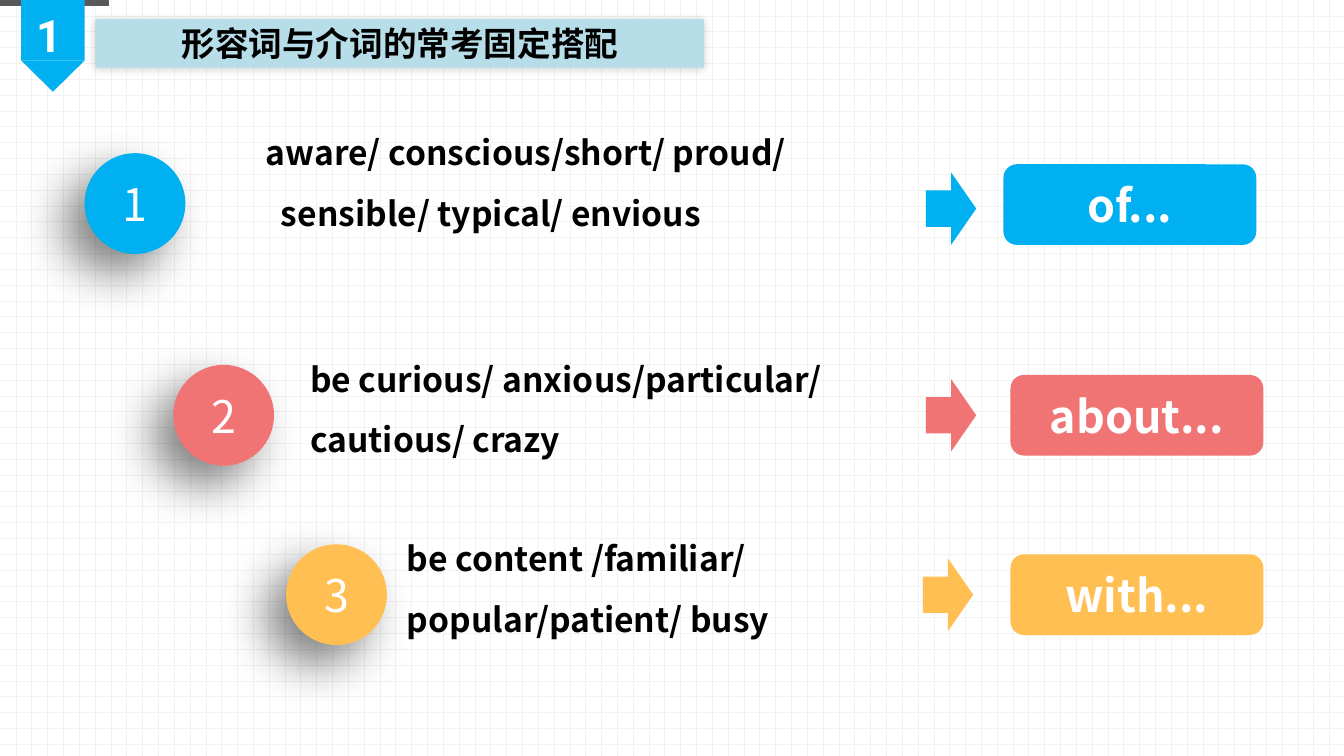
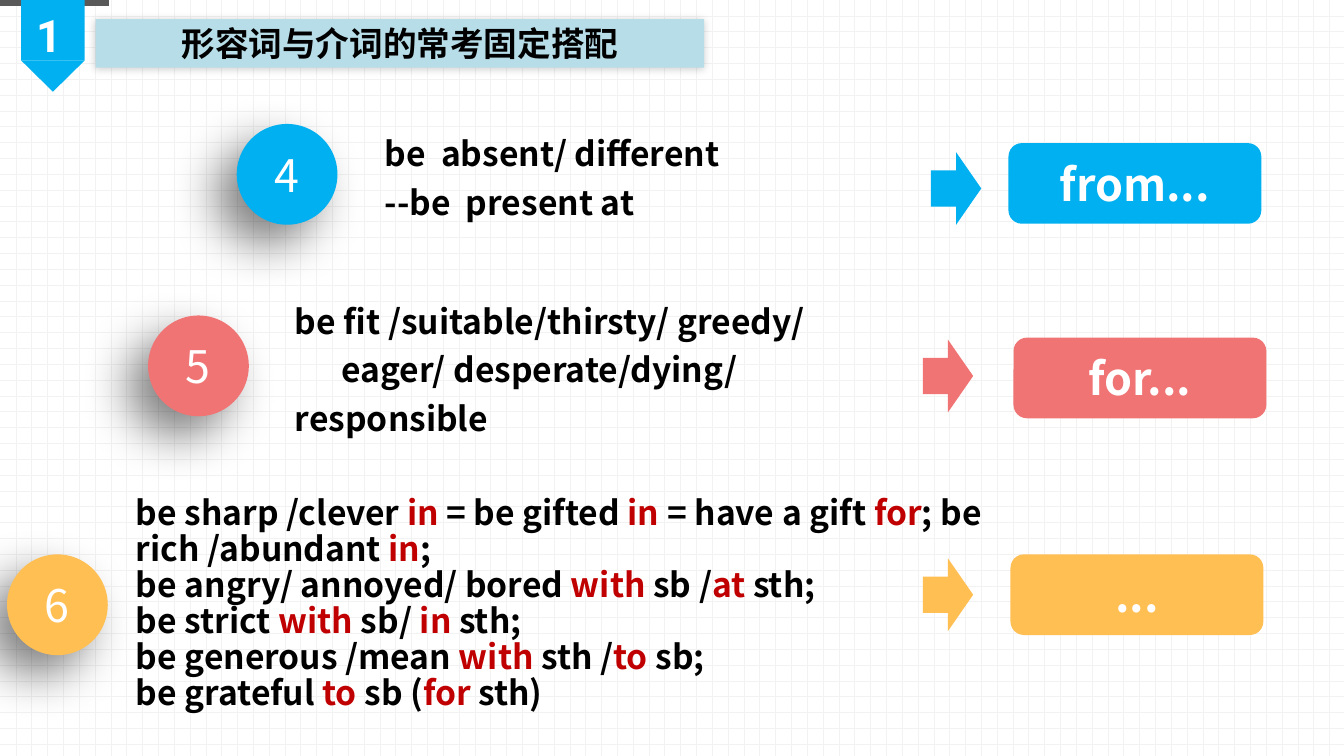
from lxml import etree
from pptx import Presentation
from pptx.dml.color import RGBColor
from pptx.enum.dml import MSO_PATTERN
from pptx.enum.shapes import MSO_SHAPE
from pptx.enum.text import MSO_ANCHOR, PP_ALIGN
from pptx.oxml.ns import qn
from pptx.util import Inches, Pt

# Shared colours and formats
BLUE, CORAL, AMBER = "00B0F0", "F17475", "FFBF53"
BLACK, WHITE, RED = "000000", "FFFFFF", "C00000"
GREY, PALE_BLUE, GRID_GREY = "595959", "B7DEE8", "F2F2F2"

FONT = "Noto Sans CJK SC"
BODY = {"name": FONT, "size": Pt(24), "bold": True}
NUMBER = {"name": FONT, "size": Pt(32), "bold": False}
PREPOSITION = {"name": FONT, "size": Pt(32), "bold": True}
CHAPTER = {"name": "Roboto", "size": Pt(32), "bold": True}

CENTRED = {"alignment": PP_ALIGN.CENTER}
CHAPTER_SPACING = {"line_spacing": 1.3, "space_before": Pt(6)}

TITLE = "形容词与介词的常考固定搭配"
CIRCLE_SIZE = 1.0
ARROW_SIZE = (0.5, 0.72)
BUTTON_SIZE = (2.51, 0.8)

# Each row: colour, number, circle corner, text box, line spacing, lines as
# (first-line indent, text with *red* words), arrow corner, button corner, preposition
PAGES = [
    [
        (BLUE, "1", (0.84, 1.52), (2.54, 1.06, 6.26, 1.3), 1.5,
         [(0, "aware/ conscious/short/ proud/"),
          (0.15, "sensible/ typical/ envious")],
         (9.19, 1.71), (9.96, 1.63), "of..."),
        (CORAL, "2", (1.72, 3.62), (2.98, 3.31, 5.97, 1.3), 1.5,
         [(0, "be curious/ anxious/particular/ cautious/ crazy")],
         (9.19, 3.76), (10.03, 3.72), "about..."),
        (AMBER, "3", (2.84, 5.4), (3.94, 5.09, 5.25, 1.3), 1.5,
         [(0, "be content /familiar/ popular/patient/ busy")],
         (9.16, 5.54), (10.03, 5.5), "with..."),
    ],
    [
        (BLUE, "4", (2.35, 1.23), (3.72, 1.19, 5.28, 1.08), Pt(34.8),
         [(0, "be  absent/ different"),
          (0, "--be  present at")],
         (9.24, 1.51), (10.01, 1.42), "from..."),
        (CORAL, "5", (1.47, 3.13), (2.83, 2.85, 5.97, 1.55), Pt(34.8),
         [(0, "be fit /suitable/thirsty/ greedy/"),
          (0.46, "eager/ desperate/dying/ responsible")],
         (9.16, 3.37), (10.06, 3.35), "for..."),
        (AMBER, "6", (0.07, 5.5), (1.25, 4.87, 8.61, 2.31), Pt(25.8),
         [(0, "be sharp /clever *in* = be gifted *in* = have a gift *for*; "
              "be rich /abundant *in*;"),
          (0, "be angry/ annoyed/ bored *with* sb /*at* sth;"),
          (0, "be strict *with* sb/ *in* sth;"),
          (0, "be generous /mean *with* sth /*to* sb;"),
          (0, "be grateful *to* sb (*for* sth)")],
         (9.16, 5.54), (10.03, 5.5), "..."),
    ],
]


def add_box(page, kind, place, fill, shadow=None):
    """Add a filled shape; shadow is (opacity %, blur pt, distance pt)."""
    box = page.shapes.add_shape(kind, *[Inches(length) for length in place])
    box.fill.solid()
    box.fill.fore_color.rgb = RGBColor.from_string(fill)
    box.line.fill.background()
    box.shadow.inherit = False
    if shadow:
        opacity, blur, distance = shadow
        effects = box.element.spPr.find(qn("a:effectLst"))
        outer = etree.SubElement(effects, qn("a:outerShdw"), blurRad=str(Pt(blur)),
                                 dist=str(Pt(distance)), dir=str(135 * 60000),
                                 algn="ctr", rotWithShape="0")
        tint = etree.SubElement(outer, qn("a:srgbClr"), val=BLACK)
        etree.SubElement(tint, qn("a:alpha"), val=str(opacity * 1000))
    return box


def write(frame, lines, font, color, layout):
    """Fill a text frame; words between asterisks turn red."""
    for index, (indent, text) in enumerate(lines):
        para = frame.add_paragraph() if index else frame.paragraphs[0]
        for name, value in layout.items():
            setattr(para, name, value)
        if indent:
            para._p.get_or_add_pPr().set("indent", str(Inches(indent)))
        for part, words in enumerate(text.split("*")):
            span = para.add_run()
            span.text = words
            for name, value in font.items():
                setattr(span.font, name, value)
            span.font.color.rgb = RGBColor.from_string(RED if part % 2 else color)
            etree.SubElement(span._r.get_or_add_rPr(), qn("a:ea"), typeface=font["name"])


deck = Presentation()
deck.slide_width, deck.slide_height = Inches(13.34), Inches(7.5)

# Grid background for every page
grid = deck.slide_master.background.fill
grid.patterned()
grid.pattern = MSO_PATTERN.DOTTED_GRID
grid.fore_color.rgb = RGBColor.from_string(GRID_GREY)
grid.back_color.rgb = RGBColor.from_string(WHITE)

for rows in PAGES:
    page = deck.slides.add_slide(deck.slide_layouts[6])

    # Chapter ribbon and title band
    add_box(page, MSO_SHAPE.RECTANGLE, (0, 0, 1.08, 0.06), GREY)
    add_box(page, MSO_SHAPE.RECTANGLE, (0.21, 0, 0.63, 0.6), BLUE)
    tip = add_box(page, MSO_SHAPE.ISOSCELES_TRIANGLE, (0.21, 0.6, 0.63, 0.31), BLUE)
    tip.rotation = 180
    band = add_box(page, MSO_SHAPE.RECTANGLE, (0.95, 0.19, 6.04, 0.48), PALE_BLUE, (20, 6, 1))
    band.text_frame.margin_top = band.text_frame.margin_bottom = Inches(0.04)
    write(band.text_frame, [(0, TITLE)], BODY, BLACK, CENTRED)
    chapter = page.shapes.add_textbox(Inches(0.26), Inches(-0.13), Inches(0.52), Inches(0.8))
    chapter.text_frame.word_wrap = False
    write(chapter.text_frame, [(0, "1")], CHAPTER, WHITE, CHAPTER_SPACING)

    # Rows: numbered circle, adjectives, arrow, preposition
    for (color, number, circle_at, text_at, spacing, lines,
         arrow_at, button_at, preposition) in rows:
        circle = add_box(page, MSO_SHAPE.OVAL, (*circle_at, CIRCLE_SIZE, CIRCLE_SIZE),
                         color, (50, 35, 20))
        write(circle.text_frame, [(0, number)], NUMBER, WHITE, CENTRED)

        adjectives = page.shapes.add_textbox(*[Inches(length) for length in text_at])
        adjectives.text_frame.word_wrap = True
        write(adjectives.text_frame, lines, BODY, BLACK, {"line_spacing": spacing})

        add_box(page, MSO_SHAPE.RIGHT_ARROW, (*arrow_at, *ARROW_SIZE), color)

        button = add_box(page, MSO_SHAPE.ROUNDED_RECTANGLE, (*button_at, *BUTTON_SIZE), color)
        button.text_frame.vertical_anchor = MSO_ANCHOR.MIDDLE
        write(button.text_frame, [(0, preposition)], PREPOSITION, WHITE, CENTRED)

deck.save("out.pptx")
